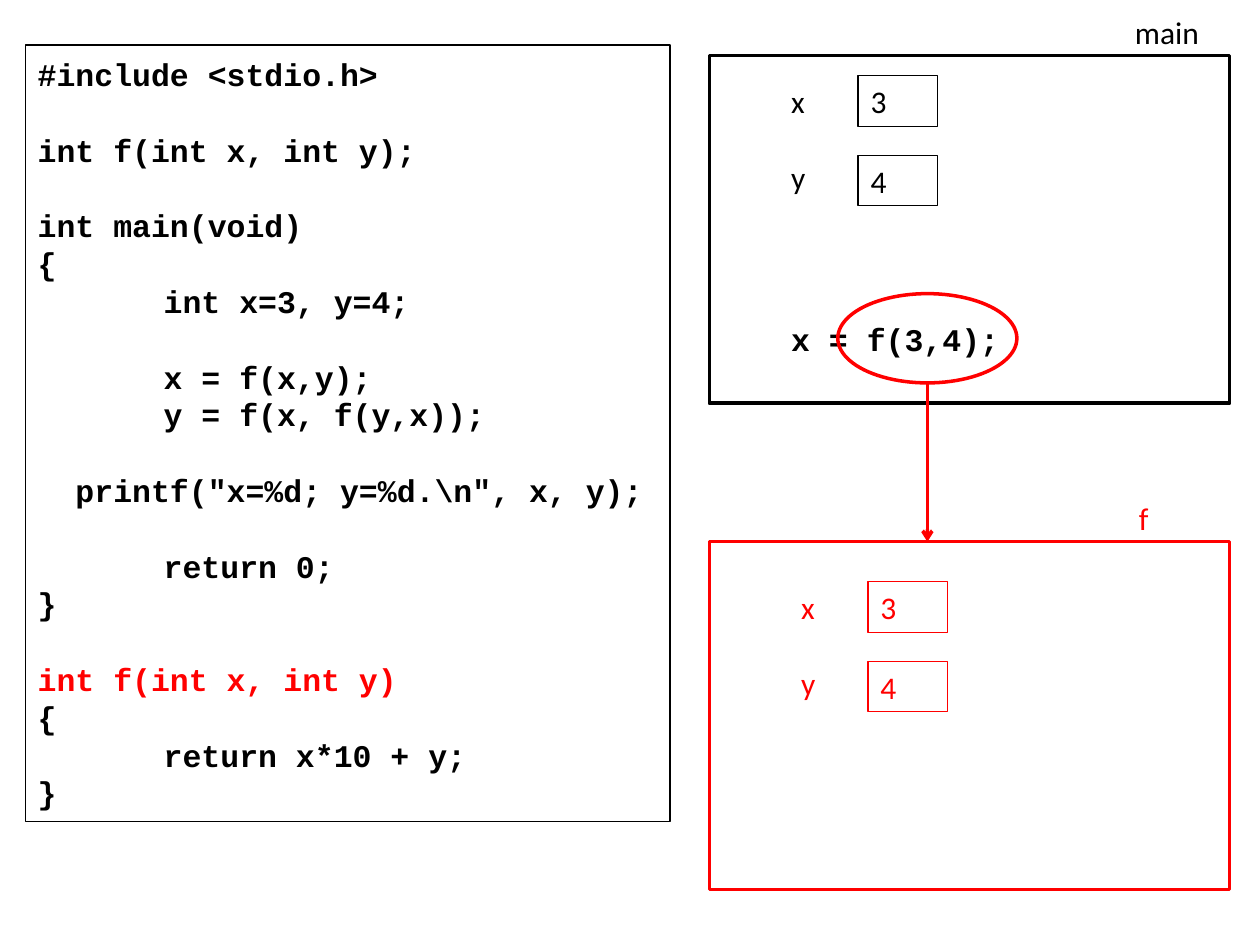
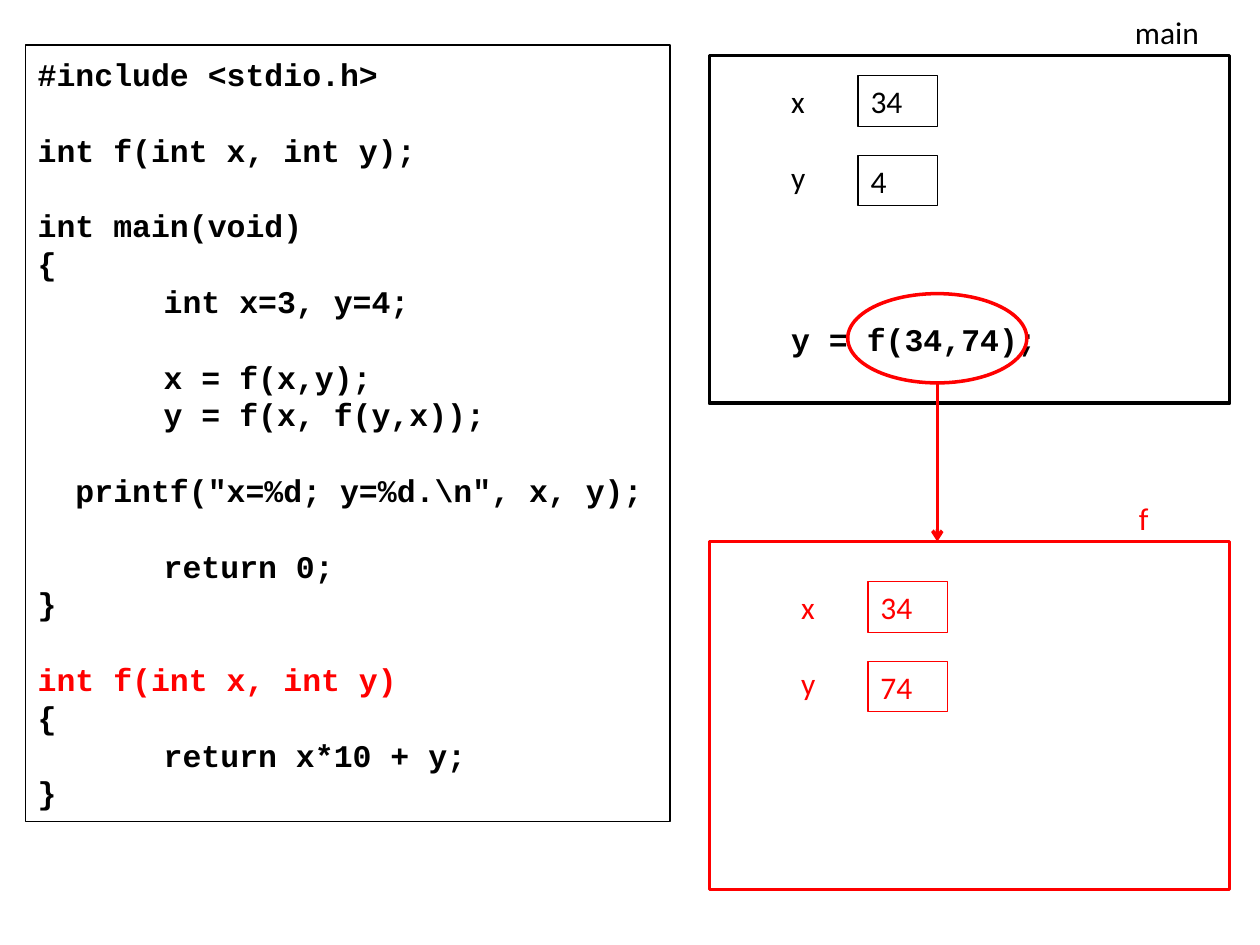
from dataclasses import dataclass

from pptx import Presentation
from pptx.dml.color import RGBColor
from pptx.enum.shapes import MSO_CONNECTOR, MSO_SHAPE
from pptx.enum.text import MSO_ANCHOR, PP_ALIGN
from pptx.oxml.ns import qn
from pptx.util import Cm, Pt
from lxml.etree import SubElement

BLACK = RGBColor(0x00, 0x00, 0x00)
RED = RGBColor(0xFF, 0x00, 0x00)
WHITE = RGBColor(0xFF, 0xFF, 0xFF)

BODY_FONT, CODE_FONT = "Calibri", "Courier New"
TEXT_SIZE = Pt(18)
LINE_HEIGHT = Pt(21.6)
THIN, THICK = Pt(0.75), Pt(2)
TAB_STOPS = (Cm(0.79), Cm(2.54))

CODE = """#include <stdio.h>

int f(int x, int y);

int main(void)
{
\t\tint x=3, y=4;

\t\tx = f(x,y);
\t\ty = f(x, f(y,x));

  printf(\u2033x=%d; y=%d.\\n\u2033, x, y);

\t\treturn 0;
}

int f(int x, int y)
{
\t\treturn x*10 + y;
}"""
ACTIVE_LINE = "int f(int x, int y)"


@dataclass
class Box:
    """A region in centimetres."""
    left: float
    top: float
    width: float
    height: float

    def inner(self, left, top, width, height):
        return Box(self.left + left, self.top + top, width, height)

    def lengths(self):
        return [Cm(v) for v in (self.left, self.top, self.width, self.height)]


CODE_BOX = Box(0.51, 0.91, 13, 15.65)
MAIN_BOX = Box(14.3, 1.12, 10.49, 7.01)
F_BOX = Box(14.3, 10.92, 10.49, 7.01)


def style(paragraph, color, font=BODY_FONT):
    paragraph.alignment = PP_ALIGN.LEFT
    for run in paragraph.runs:
        run.font.name = font
        run.font.size = TEXT_SIZE
        run.font.bold = font == CODE_FONT
        run.font.color.rgb = color


def add_outline(shapes, box, color, width, preset=MSO_SHAPE.RECTANGLE):
    outline = shapes.add_shape(preset, *box.lengths())
    outline.shadow.inherit = False
    outline.fill.background()
    outline.line.color.rgb = color
    outline.line.width = width
    return outline


def add_label(slide, box, text, color, font=BODY_FONT):
    frame = slide.shapes.add_textbox(*box.lengths()).text_frame
    frame.word_wrap = True
    frame.text = text
    for paragraph in frame.paragraphs:
        style(paragraph, color, font)
    return frame


def add_code(slide, box):
    listing = add_outline(slide.shapes, box, BLACK, THIN).text_frame
    listing.word_wrap = True
    listing.vertical_anchor = MSO_ANCHOR.MIDDLE
    # A blank source line becomes space above the next line
    listing.text = "\n".join(line for line in CODE.split("\n") if line)
    after_blank = {block.split("\n")[0] for block in CODE.split("\n\n")[1:]}
    for paragraph in listing.paragraphs:
        line = paragraph.text
        style(paragraph, RED if line == ACTIVE_LINE else BLACK, CODE_FONT)
        paragraph.line_spacing = LINE_HEIGHT
        if line in after_blank:
            paragraph.space_before = LINE_HEIGHT
        tabs = SubElement(paragraph._p.get_or_add_pPr(), qn("a:tabLst"))
        for stop in TAB_STOPS:
            SubElement(tabs, qn("a:tab"), pos=str(int(stop)), algn="l")


def add_variables(slide, box, values, color):
    """Names x and y, each beside a cell with its value."""
    names = add_label(slide, box.inner(0, 0, 1.3, 2.57), "x\ny", color)
    names.paragraphs[1].space_before = Pt(22)
    for row, value in enumerate(values):
        cell = add_outline(slide.shapes, box.inner(1.6, 1.6 * row, 1.6, 1.02), color, THIN)
        cell.text_frame.text = str(value)
        style(cell.text_frame.paragraphs[0], color)


def add_stack_frame(slide, box, name, name_left, values, inset, color):
    frame = add_outline(slide.shapes, box, color, THICK)
    frame.fill.solid()
    frame.fill.fore_color.rgb = WHITE
    add_label(slide, box.inner(name_left, -0.99, 2, 1.02), name, color)
    add_variables(slide, box.inner(*inset, 3.2, 2.62), values, color)


def add_call_marker(slide, box, target_top):
    """Ellipse around the call, with an arrow down to the called frame."""
    marker = slide.shapes.add_group_shape().shapes
    add_outline(marker, box, RED, THICK, MSO_SHAPE.OVAL)
    middle = Cm(box.left + box.width / 2)
    arrow = marker.add_connector(MSO_CONNECTOR.STRAIGHT, middle, Cm(box.top + box.height),
                                 middle, Cm(target_top))
    arrow.line.color.rgb = RED
    arrow.line.width = THICK
    SubElement(arrow.line._get_or_add_ln(), qn("a:tailEnd"), type="arrow")
    SubElement(arrow._element.spPr, qn("a:effectLst"))


def add_call_slide(deck, call, main_values, f_values, marker_left):
    slide = deck.slides.add_slide(deck.slide_layouts[6])
    add_code(slide, CODE_BOX)
    # Caller
    add_stack_frame(slide, MAIN_BOX, "main", 8.33, main_values, (1.4, 0.41), BLACK)
    add_label(slide, MAIN_BOX.inner(1.4, 5.21, 6, 1.02), call, BLACK, CODE_FONT)
    # Called function
    add_stack_frame(slide, F_BOX, "f", 8.41, f_values, (1.6, 0.81), RED)
    add_call_marker(slide, MAIN_BOX.inner(marker_left, 4.8, 3.61, 1.8), F_BOX.top)


deck = Presentation()
deck.slide_width, deck.slide_height = Cm(25.4), Cm(19.05)
add_call_slide(deck, "x = f(3,4);", (3, 4), (3, 4), 2.59)
add_call_slide(deck, "y = f(34,74);", (34, 4), (34, 74), 2.79)
deck.save("out.pptx")
